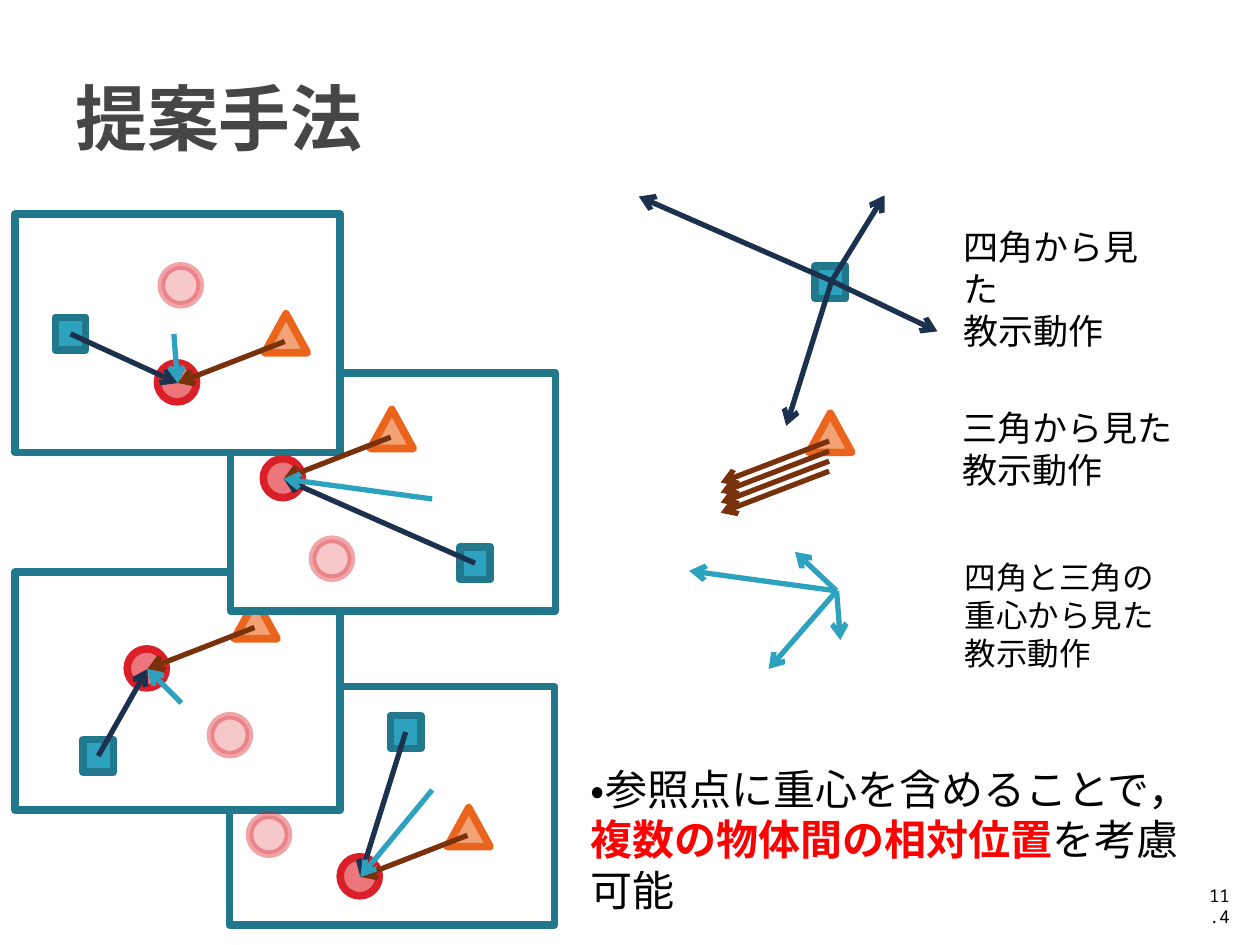
import pptx
import pptx.dml.color
import pptx.enum.lang
import pptx.enum.shapes
import pptx.enum.text
import pptx.util
from lxml import etree
from pptx.oxml.ns import qn

Inches = pptx.util.Inches
Shape = pptx.enum.shapes.MSO_SHAPE
Anchor = pptx.enum.text.MSO_ANCHOR
Align = pptx.enum.text.PP_ALIGN

FONT = "Noto Sans Mono"
COLORS = {
    "white": "FFFFFF", "black": "000000", "title": "464646", "red": "FF0000",
    "teal": "2DA2BF", "teal_edge": "21788D", "navy": "1C314E", "brown": "78310B",
    "orange": "F3A276", "orange_edge": "EB641B",
    "pink": "EC767C", "pink_edge": "DA1F28",
}
FRAME_SIZE = (2.58, 1.89)
MARKERS = {
    "square": (Shape.RECTANGLE, 0.24, 0.26, "teal", "teal_edge"),
    "triangle": (Shape.ISOSCELES_TRIANGLE, 0.34, 0.31, "orange", "orange_edge"),
    "circle": (Shape.OVAL, 0.31, 0.31, "pink", "pink_edge"),
}
SCENES = [
    {"frame": (1.82, 5.45), "fill": None, "square": (3.1, 5.68),
     "triangle": (3.55, 6.41), "before": (1.98, 6.47), "after": (2.7, 6.8),
     "centroid": (3.43, 6.27)},
    {"frame": (0.12, 4.54), "fill": "white", "square": (0.66, 5.87),
     "triangle": (1.86, 4.76), "before": (1.67, 5.68), "after": (1.01, 5.15),
     "centroid": (1.44, 5.58)},
    {"frame": (1.83, 2.96), "fill": "white", "square": (3.65, 4.34),
     "triangle": (2.94, 3.25), "before": (2.48, 4.28), "after": (2.09, 3.64),
     "centroid": (3.43, 3.96)},
    {"frame": (0.12, 1.7), "fill": "white", "square": (0.44, 2.52),
     "triangle": (2.1, 2.49), "before": (1.28, 2.11), "after": (1.25, 2.88),
     "centroid": (1.38, 2.65)},
]
LEGENDS = [
    ((7.55, 1.74, 1.83, 0.77), 20, ["四角から見た", "教示動作"]),
    ((7.54, 3.18, 2.07, 0.77), 20, ["三角から見た", "教示動作"]),
    ((7.56, 4.38, 2.64, 1.01), 18, ["四角と三角の", "重心から見た", "教示動作"]),
]


def rgb(name):
    return pptx.dml.color.RGBColor.from_string(COLORS[name])


def add_outlined(page, kind, place, fill, edge, opacity=100):
    shape = page.shapes.add_shape(kind, *map(Inches, place))
    shape.shadow.inherit = False
    if fill:
        shape.fill.solid()
        shape.fill.fore_color.rgb = rgb(fill)
    else:
        shape.fill.background()
    shape.line.color.rgb = rgb(edge)
    shape.line.width = pptx.util.Pt(4.33)
    properties = shape.element.spPr
    etree.SubElement(properties.find(qn("a:ln")), qn("a:round"))
    if opacity < 100:
        for color in properties.iter(qn("a:srgbClr")):
            etree.SubElement(color, qn("a:alpha"), val=str(opacity * 1000))


def add_marker(page, name, corner, opacity=100):
    kind, width, height, fill, edge = MARKERS[name]
    add_outlined(page, kind, (*corner, width, height), fill, edge, opacity)


def add_arrow(page, start, end, color):
    arrow = page.shapes.add_connector(
        pptx.enum.shapes.MSO_CONNECTOR.STRAIGHT, *map(Inches, (*start, *end)))
    arrow.line.color.rgb = rgb(color)
    arrow.line.width = pptx.util.Pt(3)
    properties = arrow.element.spPr
    etree.SubElement(properties.find(qn("a:ln")), qn("a:tailEnd"), type="arrow")
    etree.SubElement(properties, qn("a:effectLst"))


def add_text(page, place, size, paras, anchor=Anchor.TOP, align=Align.LEFT):
    box = page.shapes.add_textbox(*map(Inches, place))
    frame = box.text_frame
    frame.word_wrap = True
    frame.vertical_anchor = anchor
    for index, spans in enumerate(paras):
        para = frame.add_paragraph() if index else frame.paragraphs[0]
        para.alignment = align
        for text, color, bold in spans:
            span = para.add_run()
            span.text = text
            span.font.name = FONT
            span.font.size = pptx.util.Pt(size)
            span.font.bold = bold
            span.font.color.rgb = rgb(color)
            span.font.language_id = pptx.enum.lang.MSO_LANGUAGE_ID.JAPANESE


def shifted(point, right, down):
    return point[0] + right, point[1] + down


def add_scenes(page):
    for scene in SCENES:
        add_outlined(page, Shape.RECTANGLE, (*scene["frame"], *FRAME_SIZE),
                     scene["fill"], "teal_edge")
        add_marker(page, "triangle", scene["triangle"])
    for scene in SCENES:
        add_marker(page, "circle", scene["before"], 40)
        add_marker(page, "square", scene["square"])
        add_marker(page, "circle", scene["after"])
        goal = shifted(scene["after"], 0.16, 0.16)
        add_arrow(page, shifted(scene["square"], 0.12, 0.13), goal, "navy")
        add_arrow(page, shifted(scene["triangle"], 0.16, 0.22), goal, "brown")
        add_arrow(page, scene["centroid"], goal, "teal")


def add_motion_summary(page):
    add_marker(page, "triangle", (6.42, 3.28))
    for index in range(4):
        start = (6.58, 3.5 + 0.08 * index)
        add_arrow(page, start, shifted(start, -0.86, 0.33), "brown")
    add_marker(page, "square", (6.47, 2.11))
    for end in [(7.44, 2.63), (5.07, 1.56), (7.02, 1.55), (6.24, 3.38)]:
        add_arrow(page, (6.6, 2.23), end, "navy")
    for end in [(6.67, 5.08), (5.47, 4.53), (6.31, 4.38), (6.1, 5.31)]:
        add_arrow(page, (6.64, 4.69), end, "teal")
    for place, size, lines in LEGENDS:
        add_text(page, place, size, [[(line, "black", False)] for line in lines])


def main():
    deck = pptx.Presentation()
    deck.slide_width, deck.slide_height = Inches(10), Inches(7.5)
    page = deck.slides.add_slide(deck.slide_layouts[6])
    add_text(page, (0.5, 0.3, 9, 1.25), 41, [[("提案手法", "title", True)]],
             anchor=Anchor.MIDDLE)
    add_motion_summary(page)
    add_scenes(page)
    add_text(page, (4.59, 6.01, 5.02, 1.31), 24, [
        [("・参照点に重心を含めることで，", "black", False)],
        [("複数の物体間の相対位置", "red", True), ("を考慮可能", "black", False)],
    ])
    add_text(page, (9.46, 7.01, 0.4, 0.4), 10, [[("11.4", "black", False)]],
             anchor=Anchor.BOTTOM, align=Align.RIGHT)
    deck.save("out.pptx")


if __name__ == "__main__":
    main()
